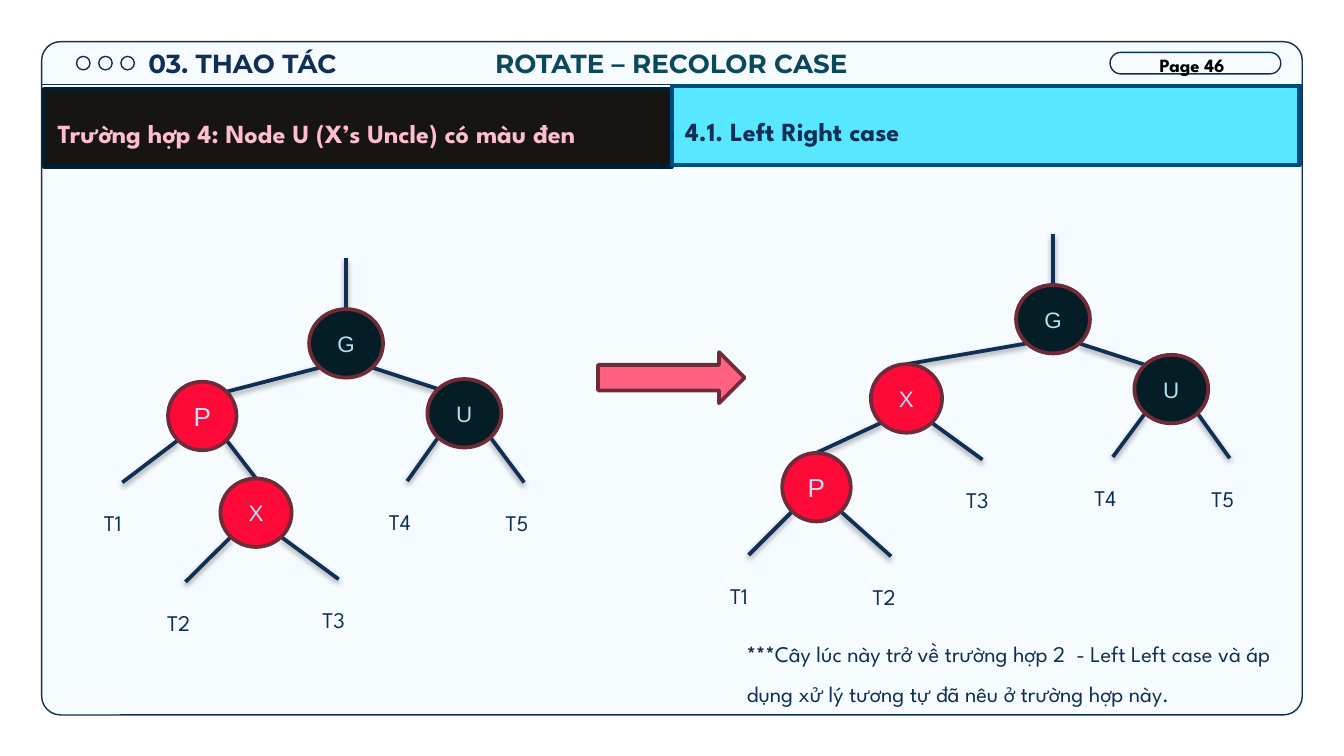
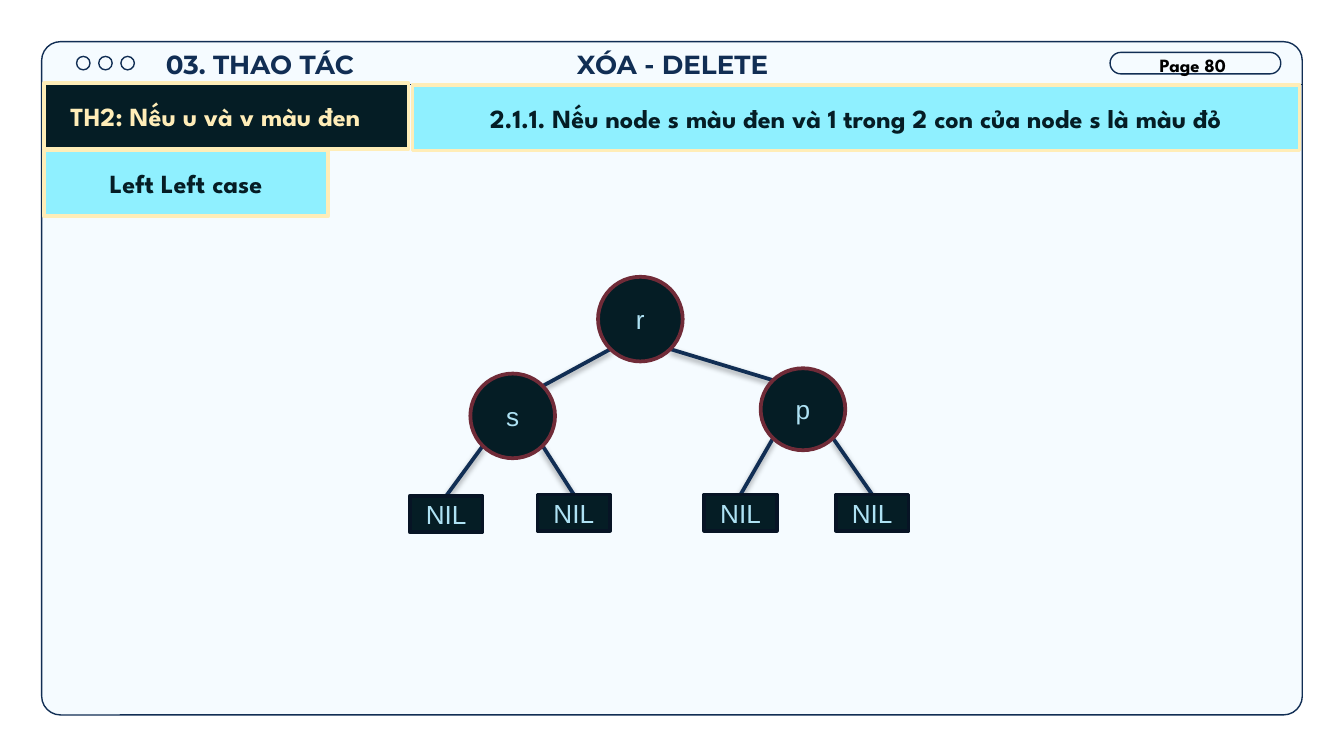
from dataclasses import dataclass

from lxml.etree import SubElement
from pptx import Presentation
from pptx.dml.color import RGBColor
from pptx.enum.shapes import MSO_CONNECTOR, MSO_SHAPE
from pptx.enum.text import MSO_ANCHOR, PP_ALIGN
from pptx.oxml.ns import qn
from pptx.util import Inches, Pt

NAVY, TEAL, PAPER = "112E54", "0C485C", "F5FBFF"
BLACK_NODE, RED_NODE, NODE_RIM, NODE_TEXT = "051D25", "FF0939", "702B38", "AEE2F4"
CREAM, CYAN, SKY = "FFEDB8", "57E8FF", "8FF0FF"
HEADING, BODY, PLAIN = "Montserrat", "League Spartan", "Arial"
CASE_TITLE = dict(size=14, bold=True, align=PP_ALIGN.LEFT, anchor=MSO_ANCHOR.TOP,
                  spacing=1.5, inset_y=0.1)
LABEL_WIDTH, LABEL_HEIGHT = 0.47, 0.44
NARROW_LABELS = {"T3": 0.44}
NIL_SIZE = (0.54, 0.27)
DIAGONAL = 0.5 ** 0.5
# Attachment sites of a node, in radii from its centre
SITES = {"top": (0, -1),
         "upper left": (-DIAGONAL, -DIAGONAL), "upper right": (DIAGONAL, -DIAGONAL),
         "lower left": (-DIAGONAL, DIAGONAL), "lower right": (DIAGONAL, DIAGONAL)}


@dataclass
class Node:
    letter: str
    left: float
    top: float
    width: float = 0.55
    height: float = 0.51
    fill: str = BLACK_NODE
    size: int = 12

    def site(self, name):
        dx, dy = SITES[name]
        return (self.left + self.width / 2 * (1 + dx),
                self.top + self.height / 2 * (1 + dy))


def color(hex_code):
    return RGBColor.from_string(hex_code)


def write(shape, text, font=BODY, size=12, ink=NAVY, bold=False, align=PP_ALIGN.CENTER,
          anchor=MSO_ANCHOR.MIDDLE, spacing=None, inset_y=0.05, inset_right=0.1):
    """Fill a shape with one paragraph; text is a string or (text, bold) pairs."""
    frame = shape.text_frame
    frame.word_wrap = True
    frame.vertical_anchor = anchor
    frame.margin_left, frame.margin_right = Inches(0.1), Inches(inset_right)
    frame.margin_top = frame.margin_bottom = Inches(inset_y)
    paragraph = frame.paragraphs[0]
    paragraph.alignment = align
    if spacing:
        paragraph.line_spacing = spacing
    for part, is_bold in [(text, bold)] if isinstance(text, str) else text:
        run = paragraph.add_run()
        run.text = part
        run.font.name, run.font.size, run.font.bold = font, Pt(size), is_bold
        run.font.color.rgb = color(ink)


def add_text(slide, box, text, **style):
    write(slide.shapes.add_textbox(*map(Inches, box)), text, **style)


def add_form(slide, kind, box, fill=None, line=NAVY, weight=2.0, corner=None):
    shape = slide.shapes.add_shape(kind, *map(Inches, box))
    shape.shadow.inherit = False
    if fill:
        shape.fill.solid()
        shape.fill.fore_color.rgb = color(fill)
    else:
        shape.fill.background()
    shape.line.color.rgb = color(line)
    shape.line.width = Pt(weight)
    if corner is not None:
        shape.adjustments[0] = corner
    return shape


def add_line(slide, start, end, weight=2.0, shadow=True):
    line = slide.shapes.add_connector(MSO_CONNECTOR.STRAIGHT, *map(Inches, (*start, *end)))
    line.line.color.rgb = color(NAVY)
    line.line.width = Pt(weight)
    effects = SubElement(line._element.spPr, qn("a:effectLst"))
    if shadow:
        outer = SubElement(effects, qn("a:outerShdw"), blurRad="40000", dist="20000",
                           dir="5400000", rotWithShape="0")
        black = SubElement(outer, qn("a:srgbClr"), val="000000")
        SubElement(black, qn("a:alpha"), val="38000")


def add_window(slide, page, box=(0.31, 0.31, 9.38, 5.01)):
    """Draw the window frame with its three dots and page badge."""
    left, top, width, _ = box
    thin = dict(weight=0.75)
    add_form(slide, MSO_SHAPE.ROUNDED_RECTANGLE, box, PAPER, corner=0.028, **thin)
    for i in range(3):
        dot = (left + 0.26 + i * 0.165, top + 0.11, 0.1, 0.1)
        add_form(slide, MSO_SHAPE.OVAL, dot, **thin)
    badge = (left + width - 1.43, top + 0.08, 1.27, 0.16)
    add_form(slide, MSO_SHAPE.ROUNDED_RECTANGLE, badge, corner=0.5, **thin)
    rule = top + 0.32
    add_line(slide, (left, rule), (left + width, rule), shadow=False, **thin)
    add_text(slide, (left + 8.22, top + 0.04, 0.75, 0.27), f"Page {page}", size=10,
             ink="000000", bold=True, align=PP_ALIGN.LEFT, anchor=MSO_ANCHOR.TOP)


def add_heading(slide, box, text, ink=NAVY, **style):
    add_text(slide, box, text, font=HEADING, size=14, ink=ink, bold=True, **style)


def add_band(slide, box, text, fill, line, weight=2.0, **style):
    band = add_form(slide, MSO_SHAPE.RECTANGLE, box, fill, line, weight)
    write(band, text, **style)


def add_tree(slide, origin, nodes, edges, leaves, add_leaf, stem=0):
    """Draw a tree at origin.

    edges: (parent, parent site, child, child site);
    leaves: (parent, parent site, text, x, y), with x and y the end of the branch.
    """
    x0, y0 = origin
    placed = {node.letter: node for node in nodes}

    def shift(point):
        return x0 + point[0], y0 + point[1]

    if stem:
        x, y = nodes[0].site("top")
        add_line(slide, shift((x, y)), shift((x, y - stem)))
    for parent, out, child, into in edges:
        add_line(slide, shift(placed[parent].site(out)), shift(placed[child].site(into)))
    for parent, out, text, x, y in leaves:
        add_line(slide, shift(placed[parent].site(out)), shift((x, y)))
        add_leaf(slide, shift((x, y)), text)
    for node in nodes:
        box = (*shift((node.left, node.top)), node.width, node.height)
        disc = add_form(slide, MSO_SHAPE.FLOWCHART_CONNECTOR, box, node.fill, NODE_RIM)
        write(disc, node.letter, font=PLAIN, size=node.size, ink=NODE_TEXT)


def hang(tip, width, height):
    """Box of the given size, centred below the tip of a branch."""
    return tip[0] - width / 2, tip[1], width, height


def add_subtree_label(slide, tip, text):
    box = hang(tip, NARROW_LABELS.get(text, LABEL_WIDTH), LABEL_HEIGHT)
    add_text(slide, box, text, align=PP_ALIGN.LEFT,
             anchor=MSO_ANCHOR.TOP, spacing=1.5, inset_y=0.1)


def add_nil(slide, tip, text):
    nil = add_form(slide, MSO_SHAPE.RECTANGLE, hang(tip, *NIL_SIZE), BLACK_NODE, "071425")
    write(nil, text, font=PLAIN, size=14, ink=NODE_TEXT)


def red_p(left, top):
    return Node("P", left, top, width=0.51, fill=RED_NODE, size=14)


def red_x(left, top):
    return Node("X", left, top, width=0.53, fill=RED_NODE)


def build_rotate_slide(slide):
    add_window(slide, 46)
    add_band(slide, (0.33, 0.66, 4.67, 0.58), "Trường hợp 4: Node U (X’s Uncle) có màu đen",
             "161514", "001E32", 2.25, ink="FFBECB", **CASE_TITLE)
    add_band(slide, (5, 0.64, 4.67, 0.59), "4.1. Left Right case",
             CYAN, "004B7D", 2.25, **CASE_TITLE)
    add_heading(slide, (0.97, 0.25, 1.67, 0.46), "03. THAO TÁC",
                anchor=MSO_ANCHOR.TOP, inset_y=0.1)
    add_heading(slide, (2.95, 0.31, 4.09, 0.32), "ROTATE – RECOLOR CASE", ink=TEAL)

    add_tree(slide, (0.67, 1.92),
             [Node("G", 1.63, 0.38), red_p(0.58, 0.92), Node("U", 2.51, 0.9),
              red_x(0.97, 1.64)],
             [("G", "lower left", "P", "upper right"),
              ("G", "lower right", "U", "upper left"),
              ("P", "lower right", "X", "top")],
             [("P", "lower left", "T1", 0.24, 1.67),
              ("X", "lower left", "T2", 0.71, 2.41),
              ("X", "lower right", "T3", 1.85, 2.39),
              ("U", "lower left", "T4", 2.36, 1.66),
              ("U", "lower right", "T5", 3.23, 1.67)],
             add_subtree_label, stem=0.38)
    add_form(slide, MSO_SHAPE.RIGHT_ARROW, (4.45, 2.62, 1.09, 0.38), "FF6180", NODE_RIM)
    add_tree(slide, (5.33, 1.74),
             [Node("G", 2.23, 0.38), red_x(1.15, 0.97), Node("U", 3.11, 0.9),
              red_p(0.49, 1.63)],
             [("G", "lower left", "X", "top"),
              ("G", "lower right", "U", "upper left"),
              ("X", "lower left", "P", "top")],
             [("P", "lower left", "T1", 0.24, 2.39),
              ("P", "lower right", "T2", 1.3, 2.4),
              ("X", "lower right", "T3", 1.98, 1.68),
              ("U", "lower left", "T4", 2.95, 1.66),
              ("U", "lower right", "T5", 3.82, 1.67)],
             add_subtree_label, stem=0.38)
    note = [("***", True),
            ("Cây lúc này trở về trường hợp 2  - Left Left case và áp dụng xử lý "
             "tương tự đã nêu ở trường hợp này.", False)]
    add_text(slide, (5.46, 4.56, 4.2, 0.72), note, align=PP_ALIGN.LEFT,
             anchor=MSO_ANCHOR.TOP, spacing=1.5, inset_y=0.1)


def build_delete_slide(slide):
    add_window(slide, 80)
    for box, text in [((1.07, 0.26, 1.73, 0.46), "03. THAO TÁC"),
                      ((0.79, 0.26, 8.43, 0.39), "XÓA - DELETE")]:
        add_heading(slide, box, text, anchor=MSO_ANCHOR.TOP, inset_y=0.1)
    bold = dict(size=14, bold=True)
    add_band(slide, (0.33, 0.62, 2.71, 0.49), "TH2: Nếu u và v màu đen",
             BLACK_NODE, CREAM, ink=CREAM, inset_right=0.26, **bold)
    add_band(slide, (3.07, 0.63, 6.6, 0.49),
             "2.1.1. Nếu node s màu đen và 1 trong 2 con của node s là màu đỏ",
             SKY, CREAM, ink=BLACK_NODE, **bold)
    add_band(slide, (0.33, 1.12, 2.11, 0.49), "Left Left case",
             SKY, CREAM, ink=BLACK_NODE, **bold)

    add_tree(slide, (3.05, 2.06),
             [Node("r", 1.4, 0, 0.63, 0.63, size=14),
              Node("s", 0.45, 0.72, 0.63, 0.63, size=14),
              Node("p", 2.61, 0.68, 0.63, 0.61, size=14)],
             [("r", "lower left", "s", "upper right"),
              ("r", "lower right", "p", "upper left")],
             [("s", "lower left", "NIL", 0.27, 1.63),
              ("s", "lower right", "NIL", 1.22, 1.62),
              ("p", "lower left", "NIL", 2.46, 1.62),
              ("p", "lower right", "NIL", 3.44, 1.62)],
             add_nil)


def main():
    deck = Presentation()
    deck.slide_width = Inches(10)
    deck.slide_height = deck.slide_width * 9 // 16
    for build in (build_rotate_slide, build_delete_slide):
        build(deck.slides.add_slide(deck.slide_layouts[6]))
    deck.save("out.pptx")


if __name__ == "__main__":
    main()
